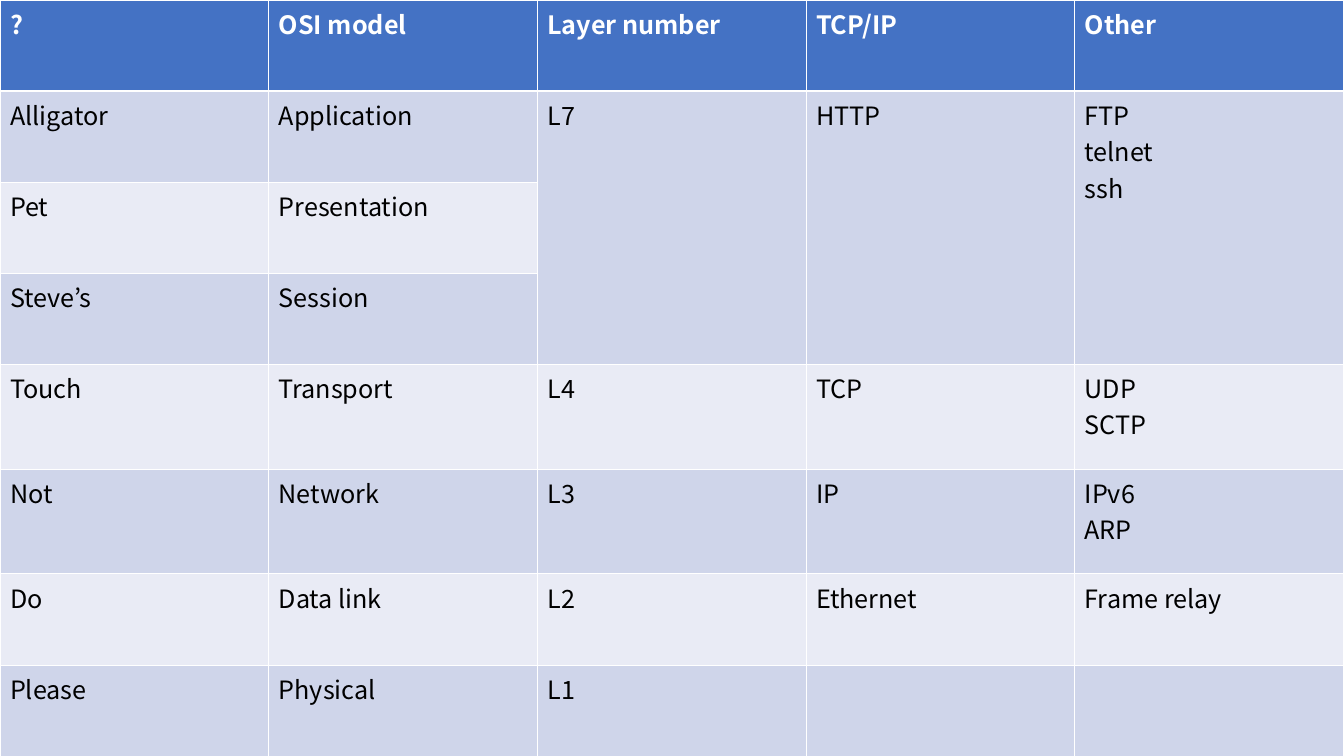
from dataclasses import dataclass

from lxml.etree import SubElement
from pptx import Presentation
from pptx.dml.color import RGBColor
from pptx.oxml.ns import qn
from pptx.table import _Cell as Cell
from pptx.util import Emu, Pt

EMU_PER_PX = 3048  # 300 px to the inch
PAGE_WIDTH, PAGE_HEIGHT = 4002, 2250
COLUMN_WIDTH = 800
SHORT_ROW, TALL_ROW = 271, 312
FONT = "Noto Sans CJK KR"
HEADER_FILL, ODD_FILL, EVEN_FILL = "4472C4", "CFD5EA", "E9EBF5"
WHITE, BLACK = "FFFFFF", "000000"
THIN, THICK = 0.45, 1.47


@dataclass(frozen=True)
class LayerRow:
    texts: tuple[str, ...]
    height: int = SHORT_ROW
    row_span: int = 1  # applies from the layer number column onwards


ROWS = [
    LayerRow(("?", "OSI model", "Layer number", "TCP/IP", "Other")),
    LayerRow(("Alligator", "Application", "L7", "HTTP", "FTP\ntelnet\nssh"), row_span=3),
    LayerRow(("Pet", "Presentation")),
    LayerRow(("Steve’s", "Session")),
    LayerRow(("Touch", "Transport", "L4", "TCP", "UDP\nSCTP"), TALL_ROW),
    LayerRow(("Not", "Network", "L3", "IP", "IPv6\nARP"), TALL_ROW),
    LayerRow(("Do", "Data link", "L2", "Ethernet", "Frame relay")),
    LayerRow(("Please", "Physical", "L1")),
]
COLUMN_COUNT = len(ROWS[0].texts)
LAYER_COLUMN = 2


def px(length: int) -> Emu:
    return Emu(length * EMU_PER_PX)


def color(hex_code: str) -> RGBColor:
    return RGBColor.from_string(hex_code)


def set_borders(cell: Cell, top: float, bottom: float) -> None:
    properties = cell._tc.get_or_add_tcPr()
    for side, width in (("L", THIN), ("R", THIN), ("T", top), ("B", bottom)):
        line = SubElement(properties, qn(f"a:ln{side}"), w=str(Pt(width)))
        fill = SubElement(line, qn("a:solidFill"))
        SubElement(fill, qn("a:srgbClr"), val=WHITE)


def write_text(cell: Cell, text: str, text_color: str, bold: bool) -> None:
    frame = cell.text_frame
    for number, line in enumerate(text.split("\n")):
        para = frame.add_paragraph() if number else frame.paragraphs[0]
        span = para.add_run()
        span.text = line
        span.font.name = FONT
        span.font.size = Pt(18)
        span.font.bold = bold
        span.font.color.rgb = color(text_color)


def main() -> None:
    deck = Presentation()
    deck.slide_width, deck.slide_height = px(PAGE_WIDTH), px(PAGE_HEIGHT)
    page = deck.slides.add_slide(deck.slide_layouts[6])

    # Table filling the whole page
    table = page.shapes.add_table(
        len(ROWS), COLUMN_COUNT, 0, 0, px(COLUMN_WIDTH * COLUMN_COUNT), px(PAGE_HEIGHT)
    ).table
    table.horz_banding = False
    for column in table.columns:
        column.width = px(COLUMN_WIDTH)

    for row_index, row in enumerate(ROWS):
        table.rows[row_index].height = px(row.height)
        is_header = row_index == 0
        band_fill = ODD_FILL if row_index % 2 else EVEN_FILL

        # Borders and banded fills, with a thicker rule under the header
        for column_index in range(COLUMN_COUNT):
            cell = table.cell(row_index, column_index)
            set_borders(
                cell,
                top=THICK if row_index == 1 else THIN,
                bottom=THICK if is_header else THIN,
            )
            cell.fill.solid()
            cell.fill.fore_color.rgb = color(HEADER_FILL if is_header else band_fill)

        # Wording
        for column_index, text in enumerate(row.texts):
            cell = table.cell(row_index, column_index)
            write_text(cell, text, WHITE if is_header else BLACK, is_header)

        # Cells shared by several OSI layers
        if row.row_span > 1:
            for column_index in range(LAYER_COLUMN, COLUMN_COUNT):
                last_cell = table.cell(row_index + row.row_span - 1, column_index)
                table.cell(row_index, column_index).merge(last_cell)

    deck.save("out.pptx")


if __name__ == "__main__":
    main()
